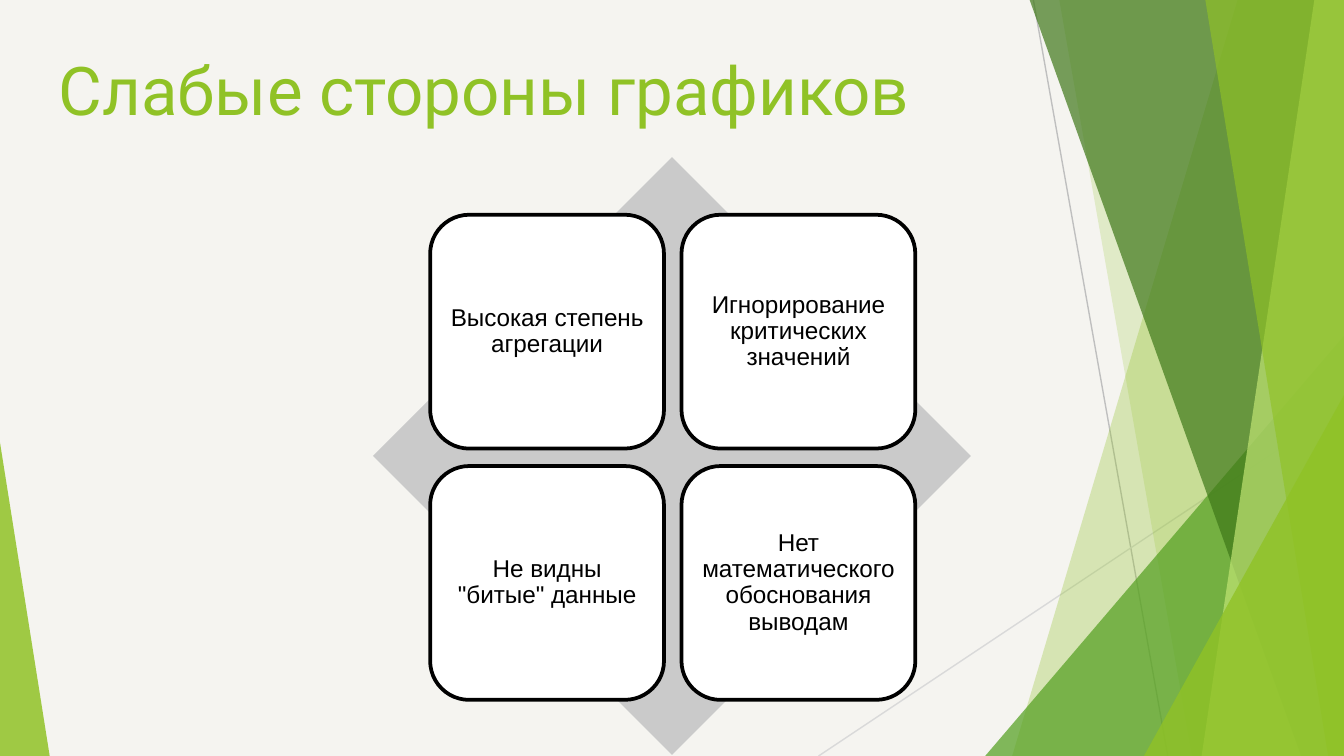
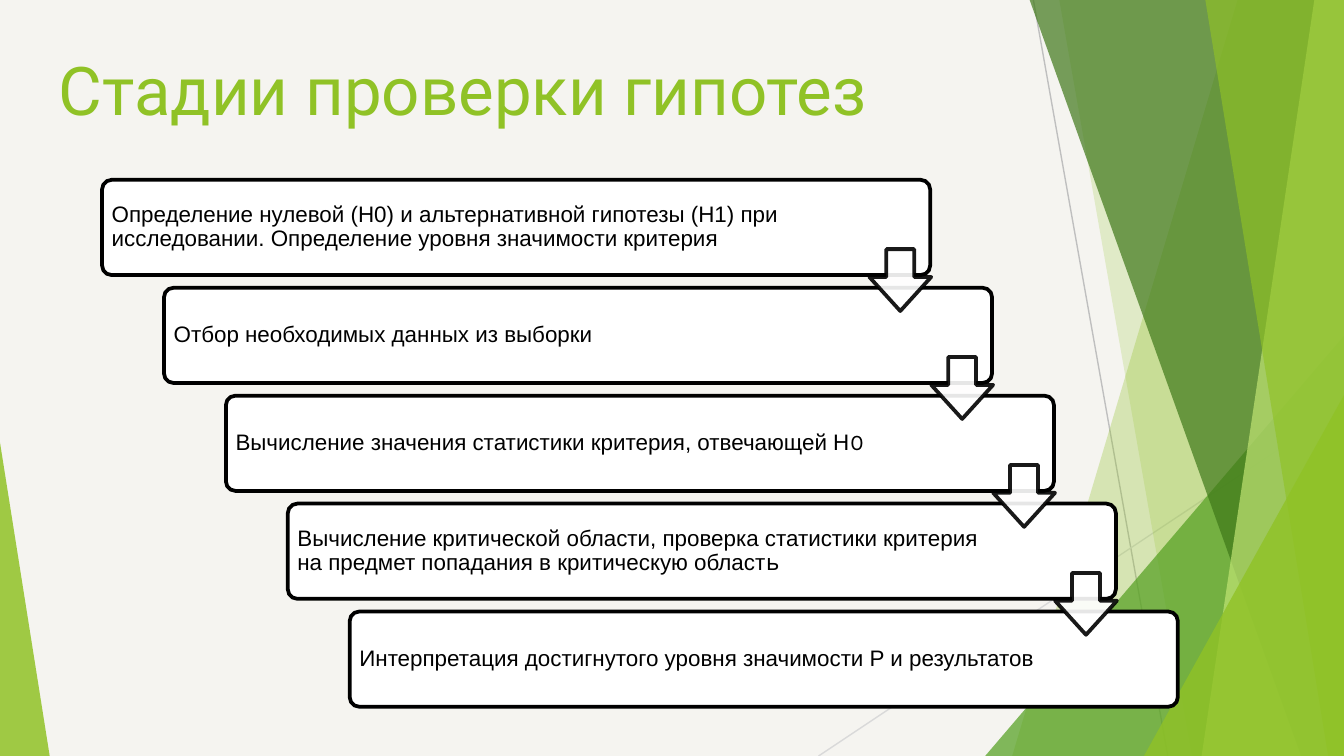
from dataclasses import dataclass

from lxml import etree
from pptx import Presentation
from pptx.dml.color import RGBColor
from pptx.enum.shapes import MSO_CONNECTOR, MSO_SHAPE
from pptx.enum.text import MSO_ANCHOR, PP_ALIGN
from pptx.oxml.ns import qn
from pptx.util import Cm, Pt

STRAIGHT = MSO_CONNECTOR.STRAIGHT
TRIANGLE = MSO_SHAPE.ISOSCELES_TRIANGLE
ROUNDED = MSO_SHAPE.ROUNDED_RECTANGLE
DIAMOND = MSO_SHAPE.DIAMOND
DOWN_ARROW = MSO_SHAPE.DOWN_ARROW
LEFT, CENTER = PP_ALIGN.LEFT, PP_ALIGN.CENTER
MIDDLE, BOTTOM = MSO_ANCHOR.MIDDLE, MSO_ANCHOR.BOTTOM

# Theme
WIDTH, HEIGHT = 25.4, 14.29
PAPER, WHITE, BLACK, GRAY = "F5F4F0", "FFFFFF", "000000", "CACACA"
LIME, GREEN, FOREST, PALE = "90C226", "54A021", "3F7819", "C0E474"
TITLE_FONT, BODY_FONT, ACCENT_FONT = "Roboto", "Arial", "Karla"


@dataclass(frozen=True)
class Box:
    left: float
    top: float
    width: float
    height: float

    def lengths(self):
        return Cm(self.left), Cm(self.top), Cm(self.width), Cm(self.height)


@dataclass(frozen=True)
class Ray:
    start: tuple[float, float]
    end: tuple[float, float]
    color: str


@dataclass(frozen=True)
class Blade:
    """A band from a slanted left edge to the right side of the slide."""
    top_x: float
    bottom_x: float
    color: str
    opacity: int


@dataclass(frozen=True)
class Wedge:
    """A right triangle standing on the bottom of the slide."""
    left: float
    top: float
    width: float
    apex: float
    color: str
    opacity: int


@dataclass(frozen=True)
class Step:
    text: str
    accent: str = ""


RAYS = [
    Ray((19.53, 0), (22.07, HEIGHT), "BFBFBF"),
    Ray((WIDTH, 7.67), (15.47, HEIGHT), "D9D9D9"),
]
FACETS = [
    Blade(23.39, 19.13, LIME, 30),
    Blade(20.02, 22.53, LIME, 20),
    Wedge(18.62, 6.35, 6.78, 1, GREEN, 72),
    Blade(19.46, 24.59, FOREST, 70),
    Blade(24.84, 22.71, PALE, 70),
    Blade(22.78, 25.1, LIME, 65),
    Wedge(21.62, 7.47, 3.78, 1, LIME, 80),
    Wedge(0, 8.36, 0.94, 0, LIME, 85),
]
TITLE_BOX = Box(0.86, 0.53, 23.67, 2.16)

# Slide contents
WEAKNESSES = [
    "Высокая степень агрегации",
    "Игнорирование критических значений",
    "Не видны \"битые\" данные",
    "Нет математического обоснования выводам",
]
DIAMOND_SIDE, DIAMOND_TOP = 11.3, 2.97
CARD_SIDE, CARD_PITCH, CARD_LEFT, CARD_TOP = 4.42, 4.75, 8.13, 4.06

STEPS = [
    Step("Определение нулевой (H0) и альтернативной гипотезы (H1) при "
         "исследовании. Определение уровня значимости критерия"),
    Step("Отбор необходимых данных из выборки"),
    Step("Вычисление значения статистики критерия, отвечающей H", "0"),
    Step("Вычисление критической области, проверка статистики критерия "
         "на предмет попадания в критическую област", "ь"),
    Step("Интерпретация достигнутого уровня значимости P и результатов"),
]
FIRST_STEP = Box(1.93, 3.4, 15.65, 1.8)
FIRST_ARROW = Box(16.43, 4.71, 1.17, 1.17)
STEP_RIGHT, STEP_DOWN = 1.17, 2.04
PADDING, ARROW_ROOM = 0.13, 2.4


def rgb(color: str) -> RGBColor:
    return RGBColor.from_string(color)


def paint(shape, fill: str, line: str | None = None, opacity: int = 100) -> None:
    shape.shadow.inherit = False
    shape.fill.solid()
    shape.fill.fore_color.rgb = rgb(fill)
    if line:
        shape.line.color.rgb = rgb(line)
        shape.line.width = Pt(2)
    else:
        shape.line.fill.background()
    if opacity < 100:
        for color in list(shape.element.spPr.iter(qn("a:srgbClr"))):
            etree.SubElement(color, qn("a:alpha"), val=str(opacity * 1000))


def add_preset(slide, kind, box: Box, fill: str, line: str | None = None,
               opacity: int = 100, adjustments: tuple[float, ...] = ()):
    shape = slide.shapes.add_shape(kind, *box.lengths())
    for index, value in enumerate(adjustments):
        shape.adjustments[index] = value
    paint(shape, fill, line, opacity)
    return shape


def format_run(run, font_name: str, size: float, color: str) -> None:
    run.font.name = font_name
    run.font.size = Pt(size)
    run.font.color.rgb = rgb(color)


def write(shape, text: str, font_name: str, size: float, color: str, alignment,
          anchor, padding: float, right_padding: float | None = None):
    frame = shape.text_frame
    frame.word_wrap = True
    frame.vertical_anchor = anchor
    frame.margin_left = frame.margin_top = frame.margin_bottom = Cm(padding)
    frame.margin_right = Cm(padding if right_padding is None else right_padding)
    frame.text = text
    paragraph = frame.paragraphs[0]
    paragraph.alignment = alignment
    format_run(paragraph.runs[0], font_name, size, color)
    return paragraph


def add_ray(slide, ray: Ray) -> None:
    connector = slide.shapes.add_connector(
        STRAIGHT, *(Cm(value) for value in ray.start + ray.end))
    connector.line.color.rgb = rgb(ray.color)
    connector.line.width = Pt(0.75)
    etree.SubElement(connector.element.spPr, qn("a:effectLst"))


def add_blade(slide, blade: Blade) -> None:
    builder = slide.shapes.build_freeform(Cm(blade.top_x), 0)
    corners = [(WIDTH, 0), (WIDTH, HEIGHT), (blade.bottom_x, HEIGHT)]
    builder.add_line_segments([(Cm(x), Cm(y)) for x, y in corners], close=True)
    paint(builder.convert_to_shape(), blade.color, opacity=blade.opacity)


def add_wedge(slide, wedge: Wedge) -> None:
    box = Box(wedge.left, wedge.top, wedge.width, HEIGHT - wedge.top)
    add_preset(slide, TRIANGLE, box, wedge.color, opacity=wedge.opacity,
               adjustments=(wedge.apex,))


def add_base_slide(presentation, title: str):
    """Blank slide with the shared background, facets and title."""
    slide = presentation.slides.add_slide(presentation.slide_layouts[6])
    slide.background.fill.solid()
    slide.background.fill.fore_color.rgb = rgb(PAPER)
    for ray in RAYS:
        add_ray(slide, ray)
    for facet in FACETS:
        if isinstance(facet, Blade):
            add_blade(slide, facet)
        else:
            add_wedge(slide, facet)
    title_box = slide.shapes.add_textbox(*TITLE_BOX.lengths())
    write(title_box, title, TITLE_FONT, 36, LIME, LEFT, BOTTOM, 0.25)
    return slide


def add_card(slide, box: Box, corner: float, text: str, size: float, alignment,
             right_padding: float = PADDING):
    card = add_preset(slide, ROUNDED, box, WHITE, BLACK, adjustments=(corner,))
    paragraph = write(card, text, BODY_FONT, size, BLACK, alignment, MIDDLE,
                      PADDING, right_padding)
    paragraph.line_spacing = 0.9
    return paragraph


def shifted(box: Box, index: int) -> Box:
    return Box(box.left + index * STEP_RIGHT, box.top + index * STEP_DOWN,
               box.width, box.height)


def build_weaknesses(presentation) -> None:
    slide = add_base_slide(presentation, "Слабые стороны графиков")
    diamond = Box((WIDTH - DIAMOND_SIDE) / 2, DIAMOND_TOP, DIAMOND_SIDE, DIAMOND_SIDE)
    add_preset(slide, DIAMOND, diamond, GRAY)
    for index, text in enumerate(WEAKNESSES):
        row, column = divmod(index, 2)
        box = Box(CARD_LEFT + column * CARD_PITCH, CARD_TOP + row * CARD_PITCH,
                  CARD_SIDE, CARD_SIDE)
        add_card(slide, box, 0.167, text, 13, CENTER)


def build_stages(presentation) -> None:
    slide = add_base_slide(presentation, "Стадии проверки гипотез")
    for index, step in enumerate(STEPS):
        paragraph = add_card(slide, shifted(FIRST_STEP, index), 0.1, step.text, 12,
                             LEFT, ARROW_ROOM)
        if step.accent:
            run = paragraph.add_run()
            run.text = step.accent
            format_run(run, ACCENT_FONT, 12, BLACK)
    # Arrows lie over the joints between steps
    for index in range(len(STEPS) - 1):
        add_preset(slide, DOWN_ARROW, shifted(FIRST_ARROW, index), WHITE, BLACK,
                   opacity=90, adjustments=(0.45, 0.55))


def main() -> None:
    presentation = Presentation()
    presentation.slide_width, presentation.slide_height = Cm(WIDTH), Cm(HEIGHT)
    build_weaknesses(presentation)
    build_stages(presentation)
    presentation.save("out.pptx")


if __name__ == "__main__":
    main()
